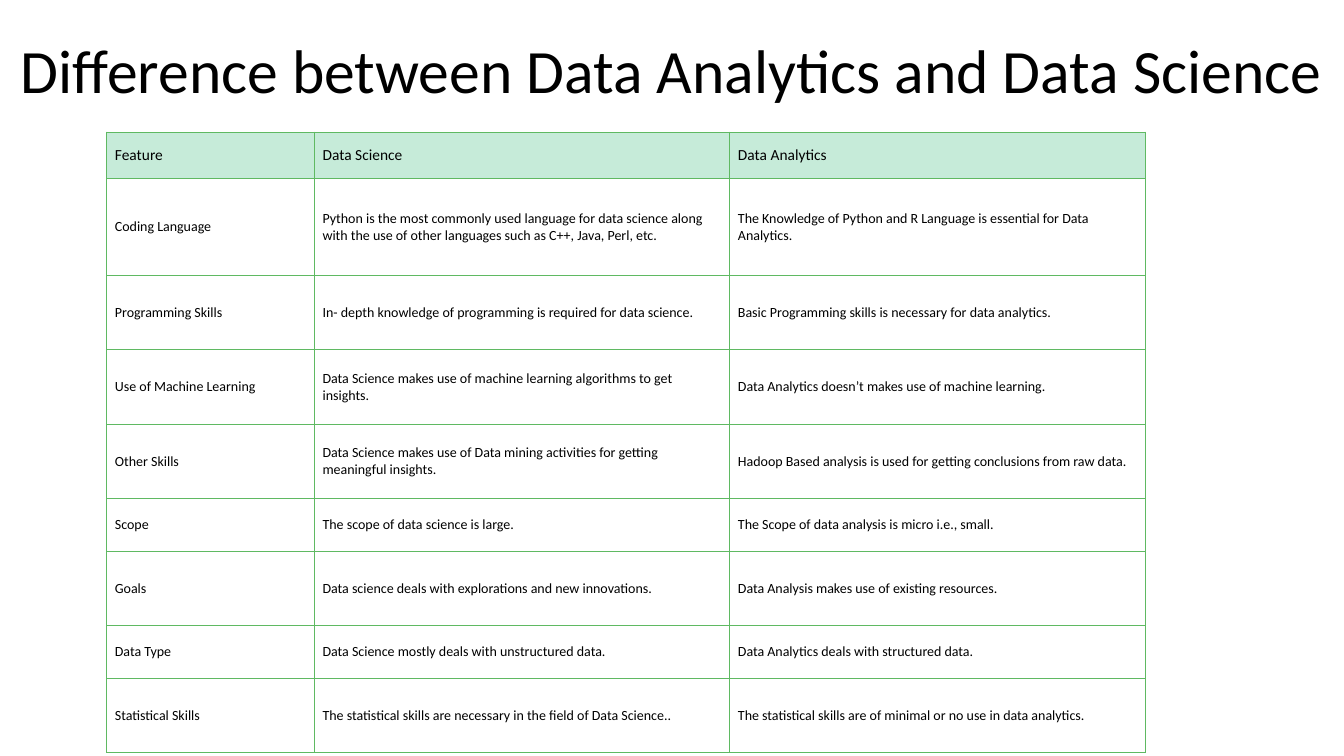
import pptx
import pptx.dml.color
import pptx.enum.text
import pptx.oxml
import pptx.oxml.ns
import pptx.util

Inches = pptx.util.Inches
Pt = pptx.util.Pt
RGBColor = pptx.dml.color.RGBColor
MIDDLE = pptx.enum.text.MSO_ANCHOR.MIDDLE

BLACK = RGBColor(0x00, 0x00, 0x00)
WHITE = RGBColor(0xFF, 0xFF, 0xFF)
MINT = RGBColor(0xC6, 0xEB, 0xD9)
GREEN = RGBColor(0x5F, 0xB9, 0x62)

TITLE = "Difference between Data Analytics and Data Science"
COMPARISON = [
    ("Feature", "Data Science", "Data Analytics"),
    ("Coding Language",
     "Python is the most commonly used language for data science along "
     "with the use of other languages such as C++, Java, Perl, etc.",
     "The Knowledge of Python and R Language is essential for Data Analytics."),
    ("Programming Skills",
     "In- depth knowledge of programming is required for data science.",
     "Basic Programming skills is necessary for data analytics."),
    ("Use of Machine Learning",
     "Data Science makes use of machine learning algorithms to get insights.",
     "Data Analytics doesn’t makes use of machine learning."),
    ("Other Skills",
     "Data Science makes use of Data mining activities for getting "
     "meaningful insights.",
     "Hadoop Based analysis is used for getting conclusions from raw data."),
    ("Scope",
     "The scope of data science is large.",
     "The Scope of data analysis is micro i.e., small."),
    ("Goals",
     "Data science deals with explorations and new innovations.",
     "Data Analysis makes use of existing resources."),
    ("Data Type",
     "Data Science mostly deals with unstructured data.",
     "Data Analytics deals with structured data."),
    ("Statistical Skills",
     "The statistical skills are necessary in the field of Data Science..",
     "The statistical skills are of minimal or no use in data analytics."),
]
COLUMN_WIDTHS = [2.06, 4.12, 4.12]
ROW_HEIGHTS = [0.46, 0.96, 0.74, 0.74, 0.74, 0.52, 0.74, 0.52, 0.74]


class SlideBuilder:
    """Holds the text style and the slide being built."""

    font = "Calibri"
    colour = BLACK

    def __init__(self, slide):
        self.slide = slide

    def style(self, paragraph, size):
        for run in paragraph.runs:
            run.font.name = self.font
            run.font.size = Pt(size)
            run.font.color.rgb = self.colour

    def title(self, text, left, top, width, height):
        box = self.slide.shapes.add_textbox(
            Inches(left), Inches(top), Inches(width), Inches(height))
        frame = box.text_frame
        frame.word_wrap = True
        frame.vertical_anchor = MIDDLE
        frame.text = text
        heading = frame.paragraphs[0]
        heading.alignment = pptx.enum.text.PP_ALIGN.CENTER
        heading.line_spacing = 0.9
        self.style(heading, 44)

    def borders(self, cell):
        properties = cell._tc.get_or_add_tcPr()
        for side in ("lnL", "lnR", "lnT", "lnB"):
            properties.append(pptx.oxml.parse_xml(
                f'<a:{side} {pptx.oxml.ns.nsdecls("a")} w="{Pt(0.75)}">'
                f'<a:solidFill><a:srgbClr val="{GREEN}"/></a:solidFill>'
                f'</a:{side}>'))

    def cell(self, cell, text, is_header):
        self.borders(cell)
        cell.fill.solid()
        cell.fill.fore_color.rgb = MINT if is_header else WHITE
        cell.vertical_anchor = MIDDLE
        cell.margin_left = cell.margin_right = Inches(0.08)
        cell.margin_top = cell.margin_bottom = Inches(0.08 if is_header else 0.12)
        cell.text_frame.text = text
        self.style(cell.text_frame.paragraphs[0], 11 if is_header else 10)

    def table(self, rows, left, top, widths, heights):
        table = self.slide.shapes.add_table(
            len(rows), len(widths), Inches(left), Inches(top),
            Inches(sum(widths)), Inches(sum(heights))).table
        table.horz_banding = False
        table.first_row = False
        for column, width in zip(table.columns, widths):
            column.width = Inches(width)
        for row, height in zip(table.rows, heights):
            row.height = Inches(height)
        for r, texts in enumerate(rows):
            for c, text in enumerate(texts):
                self.cell(table.cell(r, c), text, r == 0)


def main():
    presentation = pptx.Presentation()
    presentation.slide_width = Inches(13.33)
    presentation.slide_height = Inches(7.5)
    builder = SlideBuilder(
        presentation.slides.add_slide(presentation.slide_layouts[6]))

    # Heading across the full slide width
    builder.title(TITLE, 0, 0, 13.33, 1.45)

    # Feature comparison
    builder.table(COMPARISON, 1.06, 1.31, COLUMN_WIDTHS, ROW_HEIGHTS)

    presentation.save("out.pptx")


if __name__ == "__main__":
    main()
